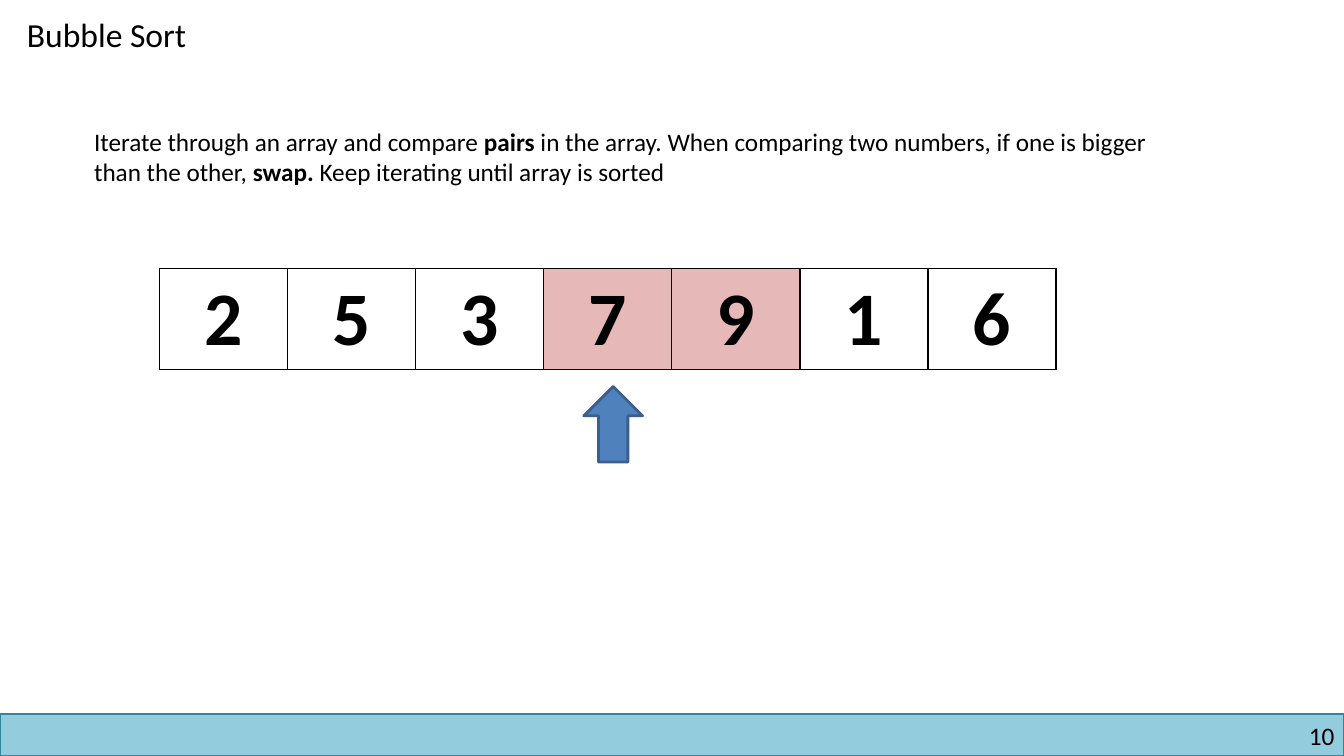
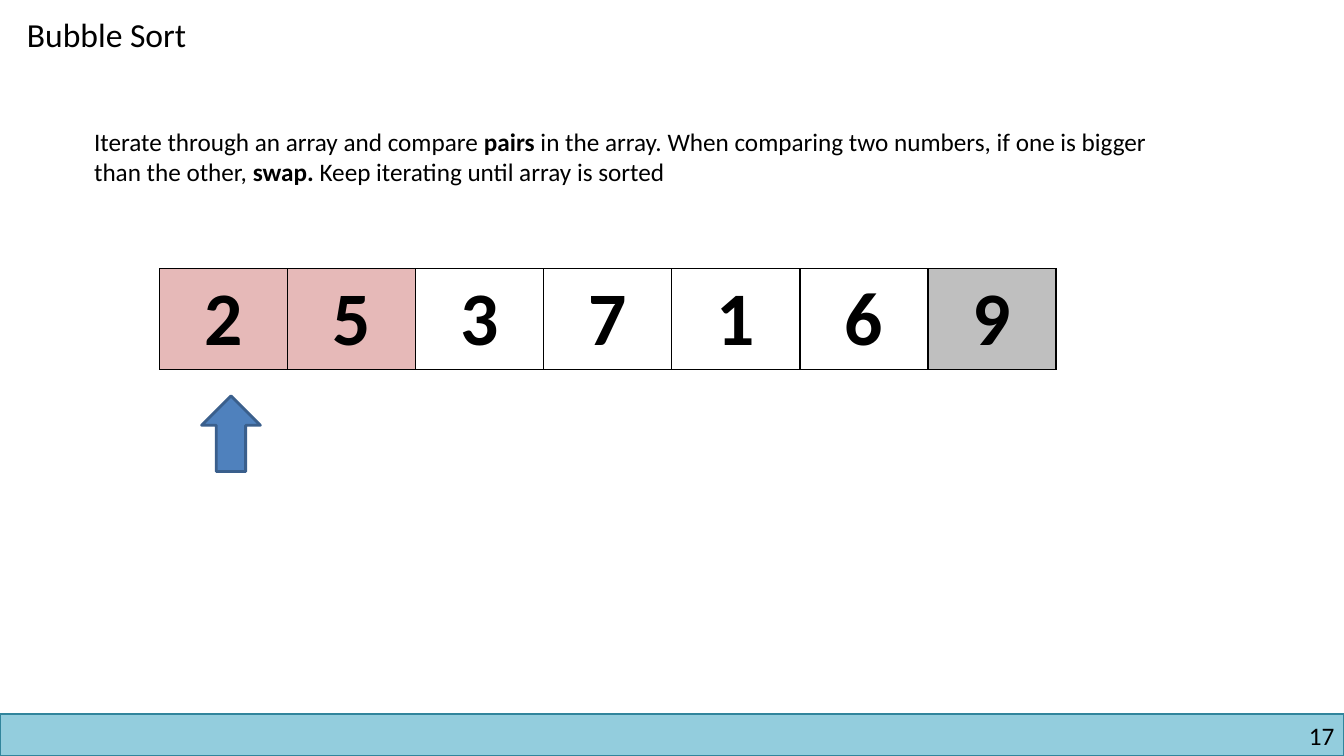
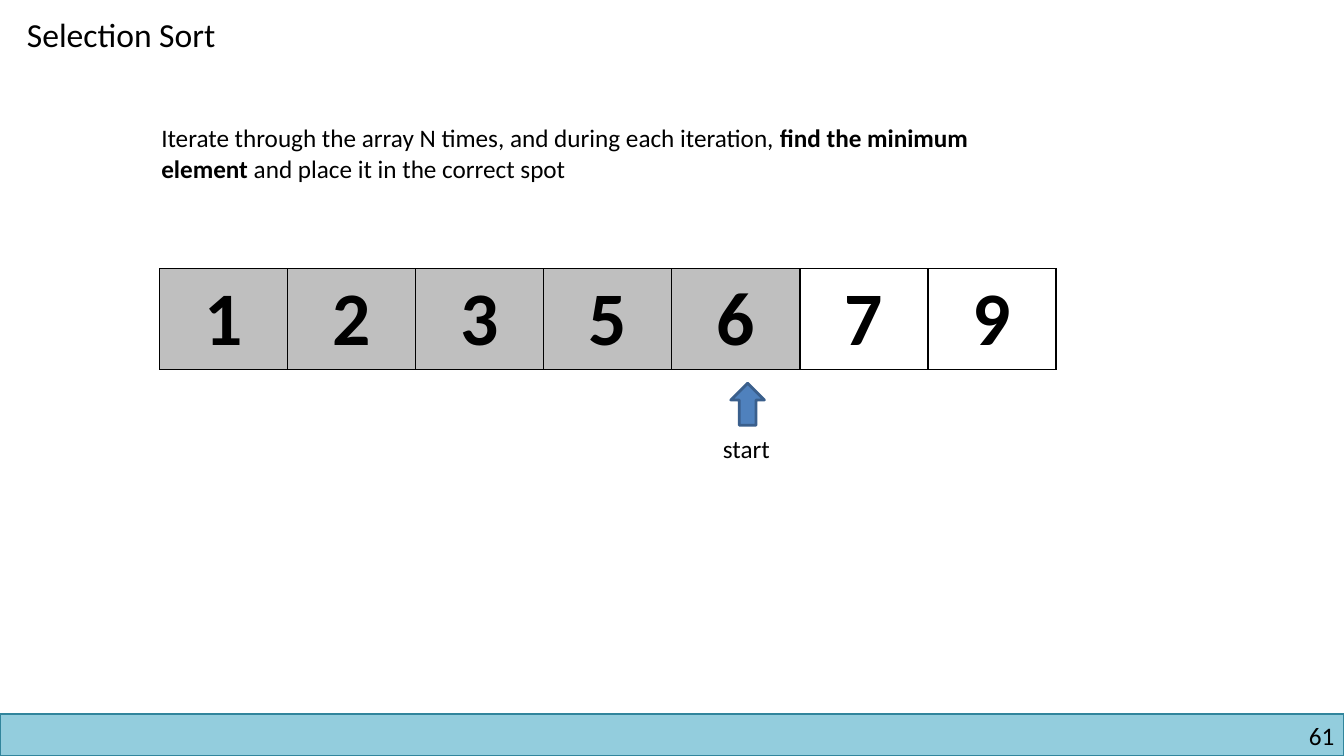
from dataclasses import dataclass

from lxml.etree import SubElement
from pptx import Presentation
from pptx.dml.color import RGBColor
from pptx.enum.shapes import MSO_SHAPE as Preset
from pptx.enum.text import MSO_ANCHOR as Anchor, MSO_AUTO_SIZE as AutoSize, PP_ALIGN as Align
from pptx.oxml.ns import qn
from pptx.util import Emu, Pt

PX = 9525  # EMU in one px, 96 px to the inch


@dataclass(frozen=True)
class Theme:
    font: str = "Calibri"
    ink: str = "000000"
    band: str = "93CDDD"
    band_edge: str = "31859C"
    arrow: str = "4F81BD"
    arrow_edge: str = "3A5F8C"
    plain: str = "FFFFFF"
    compared: str = "E6B9B8"
    done: str = "BFBFBF"
    title_size: int = 24
    text_size: int = 18
    digit_size: int = 54


THEME = Theme()

SLIDE = (1280, 720)
BAND = (0, 680, 1280, 40)
PAGE_NUMBER = (976, 686, 295, 29)
TITLE = (16, 8, 240, 48)
ARRAY_LEFT, ARRAY_TOP = 152, 256
CELL_WIDTH, CELL_HEIGHT = 122, 96

# Runs are (text, bold)
BUBBLE = {
    "title": "Bubble Sort",
    "rule": [
        ("Iterate through an array and compare ", False),
        ("pairs", True),
        (" in the array. When comparing two numbers, if one is bigger than the other, ", False),
        ("swap. ", True),
        ("Keep iterating until array is sorted", False),
    ],
    "rule_box": (80, 115, 1064, 68),
}
SELECTION = {
    "title": "Selection Sort",
    "rule": [
        ("Iterate through the array N times, and during each iteration, ", False),
        ("find the minimum element", True),
        (" and place it in the correct spot", False),
    ],
    "rule_box": (144, 112, 848, 68),
}
STEPS = [
    {**BUBBLE, "page": 10, "array": [2, 5, 3, 7, 9, 1, 6],
     "compared": {3, 4}, "done": set(), "arrow": (556, 368, 56, 72)},
    {**BUBBLE, "page": 17, "array": [2, 5, 3, 7, 1, 6, 9],
     "compared": {0, 1}, "done": {6}, "arrow": (192, 377, 56, 72)},
    {**SELECTION, "page": 61, "array": [1, 2, 3, 5, 6, 7, 9],
     "compared": set(), "done": {0, 1, 2, 3, 4}, "arrow": (696, 365, 32, 40),
     "arrow_label": ("start", (679, 408, 66, 38))},
]


def emu(box):
    return [Emu(length * PX) for length in box]


def place(shape, box):
    shape.left, shape.top, shape.width, shape.height = emu(box)


def write(frame, runs, size, align=Align.LEFT):
    """Fill the first paragraph of a frame with (text, bold) runs."""
    paragraph = frame.paragraphs[0]
    paragraph.alignment = align
    paragraph.space_before = Pt(0)
    for text, bold in runs:
        run = paragraph.add_run()
        run.text = text
        run.font.name = THEME.font
        run.font.size = Pt(size)
        run.font.bold = bold
        run.font.color.rgb = RGBColor.from_string(THEME.ink)


def fill_placeholder(placeholder, box, runs, size):
    place(placeholder, box)
    frame = placeholder.text_frame
    frame.word_wrap = True
    frame.auto_size = AutoSize.NONE
    frame.vertical_anchor = Anchor.TOP
    properties = frame.paragraphs[0]._p.get_or_add_pPr()
    properties.set("marL", "0")
    properties.set("indent", "0")
    SubElement(properties, qn("a:buNone"))
    write(frame, runs, size)


def add_text(slide, box, text, align=Align.LEFT, margin=None):
    frame = slide.shapes.add_textbox(*emu(box)).text_frame
    frame.word_wrap = True
    if margin is not None:
        frame.margin_left = frame.margin_right = margin
        frame.margin_top = frame.margin_bottom = margin
    write(frame, [(text, False)], THEME.text_size, align)


def add_preset(slide, preset, box, fill, edge, edge_width):
    shape = slide.shapes.add_shape(preset, *emu(box))
    shape.shadow.inherit = False
    shape.fill.solid()
    shape.fill.fore_color.rgb = RGBColor.from_string(fill)
    shape.line.color.rgb = RGBColor.from_string(edge)
    shape.line.width = Pt(edge_width)


def add_borders(cell):
    properties = cell._tc.get_or_add_tcPr()
    for side in ("a:lnL", "a:lnR", "a:lnT", "a:lnB"):
        border = SubElement(properties, qn(side), w=str(Pt(1)))
        solid = SubElement(border, qn("a:solidFill"))
        SubElement(solid, qn("a:srgbClr"), val=THEME.ink)


def add_array(slide, step):
    digits = step["array"]
    box = (ARRAY_LEFT, ARRAY_TOP, CELL_WIDTH * len(digits), CELL_HEIGHT)
    table = slide.shapes.add_table(1, len(digits), *emu(box)).table
    table.first_row = table.horz_banding = False
    for index, digit in enumerate(digits):
        cell = table.cell(0, index)
        add_borders(cell)
        state = next((s for s in ("compared", "done") if index in step[s]), "plain")
        cell.fill.solid()
        cell.fill.fore_color.rgb = RGBColor.from_string(getattr(THEME, state))
        write(cell.text_frame, [(str(digit), True)], THEME.digit_size, Align.CENTER)


def add_step(deck, step):
    slide = deck.slides.add_slide(deck.slide_layouts.get_by_name("Title and Content"))
    fill_placeholder(slide.shapes.title, TITLE, [(step["title"], False)], THEME.title_size)
    fill_placeholder(slide.placeholders[1], step["rule_box"], step["rule"], THEME.text_size)
    add_preset(slide, Preset.RECTANGLE, BAND, THEME.band, THEME.band_edge, 1)
    add_text(slide, PAGE_NUMBER, str(step["page"]), Align.RIGHT, margin=0)
    add_array(slide, step)
    add_preset(slide, Preset.UP_ARROW, step["arrow"], THEME.arrow, THEME.arrow_edge, 2)
    if "arrow_label" in step:
        label, box = step["arrow_label"]
        add_text(slide, box, label)


def main():
    deck = Presentation()
    deck.slide_width, deck.slide_height = emu(SLIDE)
    for step in STEPS:
        add_step(deck, step)
    deck.save("out.pptx")


if __name__ == "__main__":
    main()
